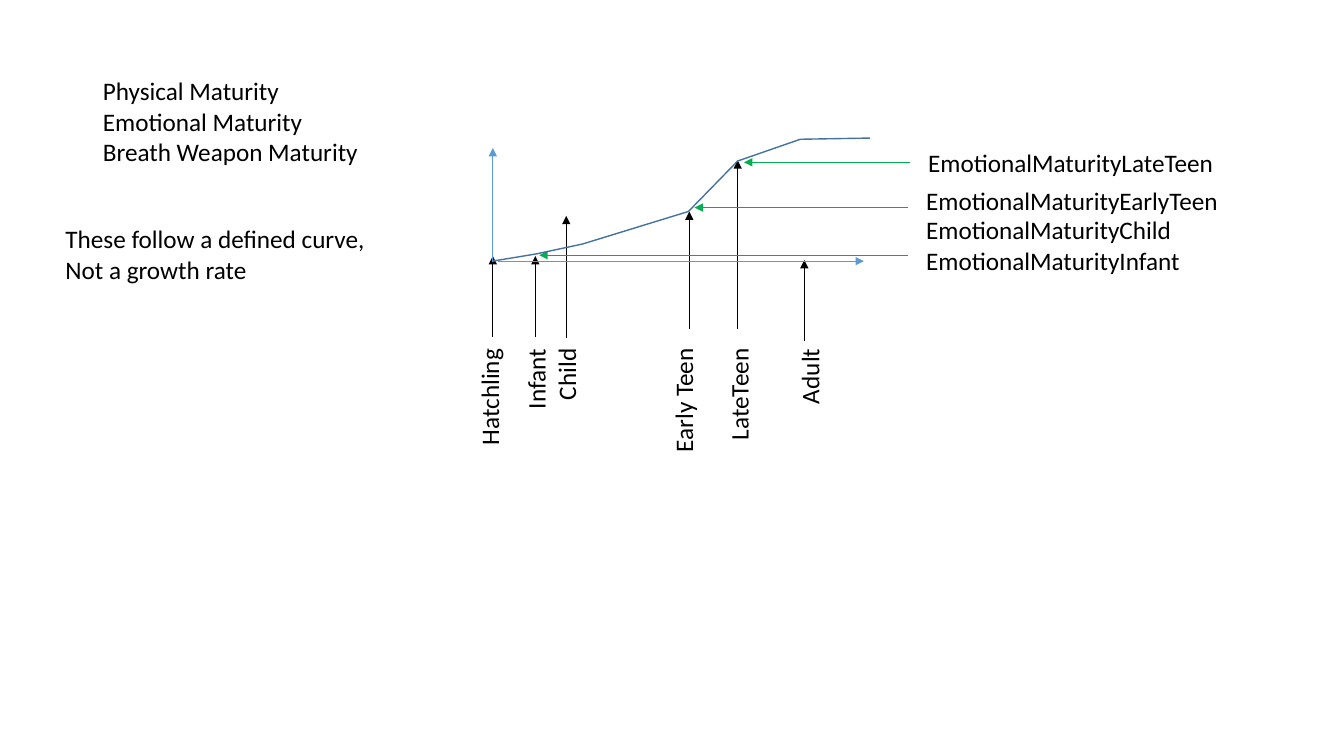
from dataclasses import dataclass

from lxml.etree import SubElement as Sub
from pptx import Presentation
from pptx.dml.color import RGBColor as Rgb
from pptx.enum.shapes import MSO_CONNECTOR as Link
from pptx.enum.text import MSO_ANCHOR as Anchor, MSO_AUTO_SIZE as Fit
from pptx.oxml.ns import qn
from pptx.util import Cm, Pt

COLORS = {"text": "000000", "axis": "5B9BD5", "level": "00B050", "curve": "43739E"}
ROW = 1.02  # height of a one-line label
STAGE_TOP = 8.5  # shared upper end of the turned labels


@dataclass
class Stage:
    name: str
    x: float
    foot: float
    tip: float
    mid: float
    size: float


@dataclass
class Level:
    name: str
    left: float
    top: float
    width: float


@dataclass
class Arrow:
    x1: float
    y1: float
    x2: float
    y2: float
    color: str


STAGES = [
    Stage("Hatchling", 12.42, 8.48, 6.45, 12.33, 2.97),
    Stage("Infant", 13.49, 8.48, 6.45, 13.5, 2.06),
    Stage("Child", 14.27, 8.51, 5.44, 14.27, 1.83),
    Stage("Early Teen", 17.37, 8.28, 5.33, 17.22, 3.15),
    Stage("LateTeen", 18.59, 8.28, 4.04, 18.62, 2.84),
    Stage("Adult", 20.27, 8.59, 6.55, 20.4, 1.93),
]
LEVELS = [
    Level("LateTeen", 23.14, 3.58, 7.77),
    Level("EarlyTeen", 23.09, 4.55, 7.95),
    Level("Child", 23.09, 5.28, 6.76),
    Level("Infant", 23.09, 6.05, 6.99),
]
ARROWS = [
    Arrow(12.55, 6.58, 21.77, 6.58, "axis"),
    Arrow(12.42, 6.6, 12.42, 3.73, "axis"),
    Arrow(22.89, 6.43, 13.59, 6.43, "level"),
    Arrow(22.89, 5.23, 17.5, 5.23, "level"),
    Arrow(22.94, 4.09, 18.75, 4.09, "level"),
]
CURVE = [(12.42, 6.58), (13.51, 6.4), (14.68, 6.15), (17.35, 5.33),
         (18.59, 4.06), (20.17, 3.51), (21.92, 3.48)]


def color(key: str) -> Rgb:
    return Rgb.from_string(COLORS[key])


def write(shape, lines: list[str]) -> None:
    frame = shape.text_frame
    frame.text = "\n".join(lines)
    frame.word_wrap = False
    frame.auto_size = Fit.SHAPE_TO_FIT_TEXT
    frame.vertical_anchor = Anchor.TOP
    for para in frame.paragraphs:
        para.space_before = Pt(0)
        para.font.name = "Calibri"
        para.font.size = Pt(18)
        para.font.color.rgb = color("text")


def label(slide, lines: list[str], left: float, top: float,
          width: float, height: float = ROW, turn: int = 0) -> None:
    box = slide.shapes.add_textbox(Cm(left), Cm(top), Cm(width), Cm(height))
    box.rotation = turn
    write(box, lines)


def draw(slide, arrow: Arrow) -> None:
    line = slide.shapes.add_connector(
        Link.STRAIGHT, Cm(arrow.x1), Cm(arrow.y1), Cm(arrow.x2), Cm(arrow.y2))
    line.line.color.rgb = color(arrow.color)
    line.line.width = Pt(0.5)
    Sub(line.line._get_or_add_ln(), qn("a:tailEnd"), type="triangle")
    Sub(line._element.spPr, qn("a:effectLst"))


deck = Presentation()
deck.slide_width, deck.slide_height = Cm(33.87), Cm(19.05)
slide = deck.slides.add_slide(deck.slide_layouts[1])

# Maturity list, in the body placeholder; the slide has no title
title = slide.shapes.title
title._element.getparent().remove(title._element)
body = slide.placeholders[1]
body.left, body.top, body.width, body.height = Cm(2.34), Cm(1.78), Cm(7.01), Cm(2.57)
write(body, ["Physical Maturity", "Emotional Maturity", "Breath Weapon Maturity"])
for para in body.text_frame.paragraphs:
    props = para._p.get_or_add_pPr()
    props.set("marL", "0")
    props.set("indent", "0")
    props.insert_element_before(
        Sub(props, qn("a:buNone")), "a:tabLst", "a:defRPr", "a:extLst")

# Growth stages below the axis
for stage in STAGES:
    draw(slide, Arrow(stage.x, stage.foot, stage.x, stage.tip, "text"))
    label(slide, [stage.name], stage.mid - stage.size / 2,
          STAGE_TOP + (stage.size - ROW) / 2, stage.size, turn=270)

# Axes and level pointers
for arrow in ARROWS:
    draw(slide, arrow)

# Maturity levels on the right
for level in LEVELS:
    label(slide, ["EmotionalMaturity" + level.name], level.left, level.top, level.width)

# Maturity curve
points = [(Cm(x), Cm(y)) for x, y in CURVE]
path = slide.shapes.build_freeform(*points[0])
path.add_line_segments(points[1:], close=False)
curve = path.convert_to_shape()
curve.shadow.inherit = False
curve.fill.background()
curve.line.color.rgb = color("curve")
curve.line.width = Pt(1)

# Remark on the curve
label(slide, ["These follow a defined curve,", "Not a growth rate"], 1.4, 5.51, 8.15, 1.8)

deck.save("out.pptx")
